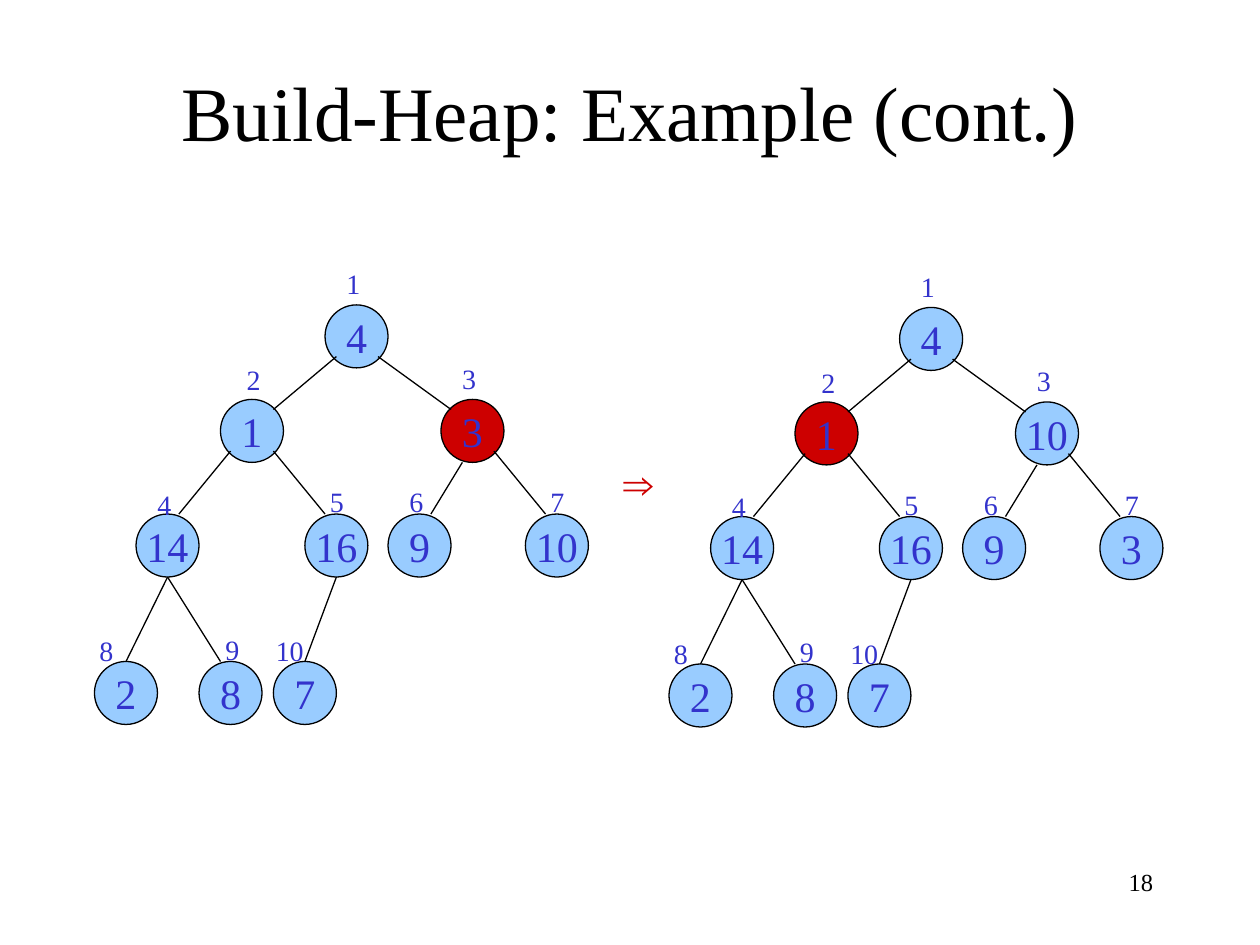
import pptx
import pptx.util
import pptx.dml.color
import pptx.enum.shapes
import pptx.enum.text
import pptx.oxml

Inches = pptx.util.Inches
ALIGN = pptx.enum.text.PP_ALIGN
ANCHOR = pptx.enum.text.MSO_ANCHOR

TITLE = "Build-Heap: Example (cont.)"
PAGE_NUMBER = "18"
HEAPS = [
    {"origin": (0, 0), "values": [4, 1, 3, 14, 16, 9, 10, 2, 8, 7], "active": 3},
    {"origin": (4.56, 0.02), "values": [4, 1, 10, 14, 16, 9, 3, 2, 8, 7], "active": 2},
]
NODE_CENTRES = [
    (2.83, 2.67),
    (2, 3.42), (3.75, 3.42),
    (1.33, 4.33), (2.67, 4.33), (3.33, 4.33), (4.42, 4.33),
    (1, 5.5), (1.83, 5.5), (2.42, 5.5),
]
INDEX_CORNERS = [
    (2.65, 2.07),
    (1.86, 2.83), (3.57, 2.82),
    (1.15, 3.82), (2.52, 3.8), (3.15, 3.8), (4.27, 3.8),
    (0.69, 4.98), (1.69, 4.97), (2.09, 4.98),
]
# child index: (offset from parent centre, offset from child centre)
EDGE_OFFSETS = {
    2: ((-0.16, 0.16), (0.17, -0.17)),
    3: ((0.17, 0.16), (-0.17, -0.17)),
    4: ((-0.17, 0.16), (0.09, -0.25)),
    5: ((0.17, 0.16), (-0.09, -0.25)),
    6: ((-0.08, 0.25), (0.09, -0.25)),
    7: ((0.17, 0.16), (-0.09, -0.25)),
    8: ((0, 0.25), (0, -0.25)),
    9: ((0, 0.25), (-0.08, -0.25)),
    10: ((0, 0.25), (0, -0.25)),
}
NODE_SIZE = 0.5
THEME = {
    "font": "Times New Roman", "symbol_font": "Arial",
    "black": "000000", "node": "99CCFF", "active": "CD0000", "label": "3333CC",
    "title_size": 44, "node_size": 24, "index_size": 16, "page_size": 14,
    "line_width": 0.75,
}


def colour(name):
    return pptx.dml.color.RGBColor.from_string(THEME[name])


def shifted(point, offset):
    return point[0] + offset[0], point[1] + offset[1]


def write(shape, text, size, colour_name, align=ALIGN.LEFT, font="font",
          anchor=ANCHOR.TOP, wrap=False):
    frame = shape.text_frame
    frame.word_wrap = wrap
    frame.vertical_anchor = anchor
    paragraph = frame.paragraphs[0]
    paragraph.alignment = align
    run = paragraph.add_run()
    run.text = str(text)
    run.font.name = THEME[font]
    run.font.size = pptx.util.Pt(THEME[size])
    run.font.color.rgb = colour(colour_name)


def outline(line):
    line.color.rgb = colour("black")
    line.width = pptx.util.Pt(THEME["line_width"])


def add_text(shapes, box, *content, **style):
    shape = shapes.add_textbox(*map(Inches, box))
    write(shape, *content, **style)
    return shape


def add_fitted_text(shapes, box, *content, **style):
    shape = add_text(shapes, box, *content, **style)
    shape.text_frame.auto_size = pptx.enum.text.MSO_AUTO_SIZE.SHAPE_TO_FIT_TEXT


def add_node(shapes, centre, value, fill):
    left, top = shifted(centre, (-NODE_SIZE / 2, -NODE_SIZE / 2))
    node = shapes.add_shape(pptx.enum.shapes.MSO_SHAPE.OVAL,
                            *map(Inches, (left, top, NODE_SIZE, NODE_SIZE)))
    node.shadow.inherit = False
    node.fill.solid()
    node.fill.fore_color.rgb = colour(fill)
    outline(node.line)
    write(node, value, "node_size", "label", align=ALIGN.CENTER, anchor=ANCHOR.MIDDLE)


def add_edge(shapes, start, end):
    edge = shapes.add_connector(pptx.enum.shapes.MSO_CONNECTOR.STRAIGHT,
                                *map(Inches, start + end))
    outline(edge.line)
    properties = edge._element.spPr
    properties.append(pptx.oxml.parse_xml(
        '<a:effectLst xmlns:a="http://schemas.openxmlformats.org/drawingml/2006/main"/>'))


def add_heap(slide, heap):
    shapes = slide.shapes.add_group_shape().shapes
    centres = [shifted(centre, heap["origin"]) for centre in NODE_CENTRES]
    for index, (centre, value) in enumerate(zip(centres, heap["values"]), 1):
        add_node(shapes, centre, value, "active" if index == heap["active"] else "node")
    for child, (start, end) in EDGE_OFFSETS.items():
        add_edge(shapes, shifted(centres[child // 2 - 1], start),
                 shifted(centres[child - 1], end))
    for index, corner in enumerate(INDEX_CORNERS, 1):
        width = 0.31 if index < 10 else 0.42
        add_fitted_text(shapes, shifted(corner, heap["origin"]) + (width, 0.37),
                        index, "index_size", "label")


def main():
    presentation = pptx.Presentation()
    presentation.slide_width = Inches(10)
    presentation.slide_height = Inches(7.5)
    slide = presentation.slides.add_slide(presentation.slide_layouts[5])

    title = slide.shapes.title
    title.left, title.top, title.width, title.height = map(Inches, (0.75, 0.25, 8.5, 1.25))
    write(title, TITLE, "title_size", "black", align=ALIGN.CENTER,
          anchor=ANCHOR.MIDDLE, wrap=True)

    for heap in HEAPS:
        add_heap(slide, heap)
    add_fitted_text(slide.shapes, (4.85, 3.58, 0.46, 0.5), "⇒", "node_size", "active",
                    font="symbol_font")
    add_text(slide.shapes, (7.17, 6.83, 2.08, 0.5), PAGE_NUMBER, "page_size", "black",
             align=ALIGN.RIGHT, wrap=True)
    presentation.save("out.pptx")


if __name__ == "__main__":
    main()
